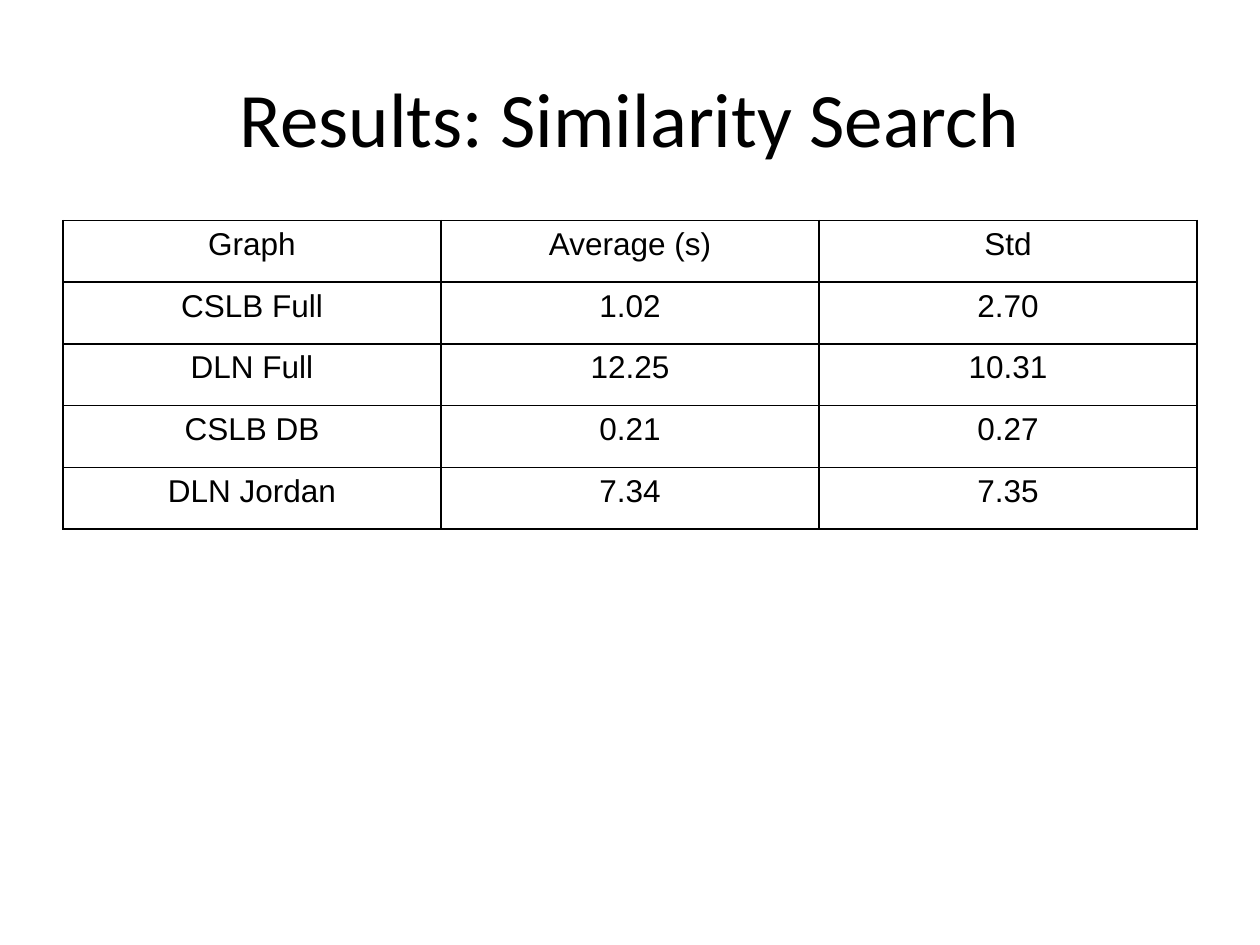
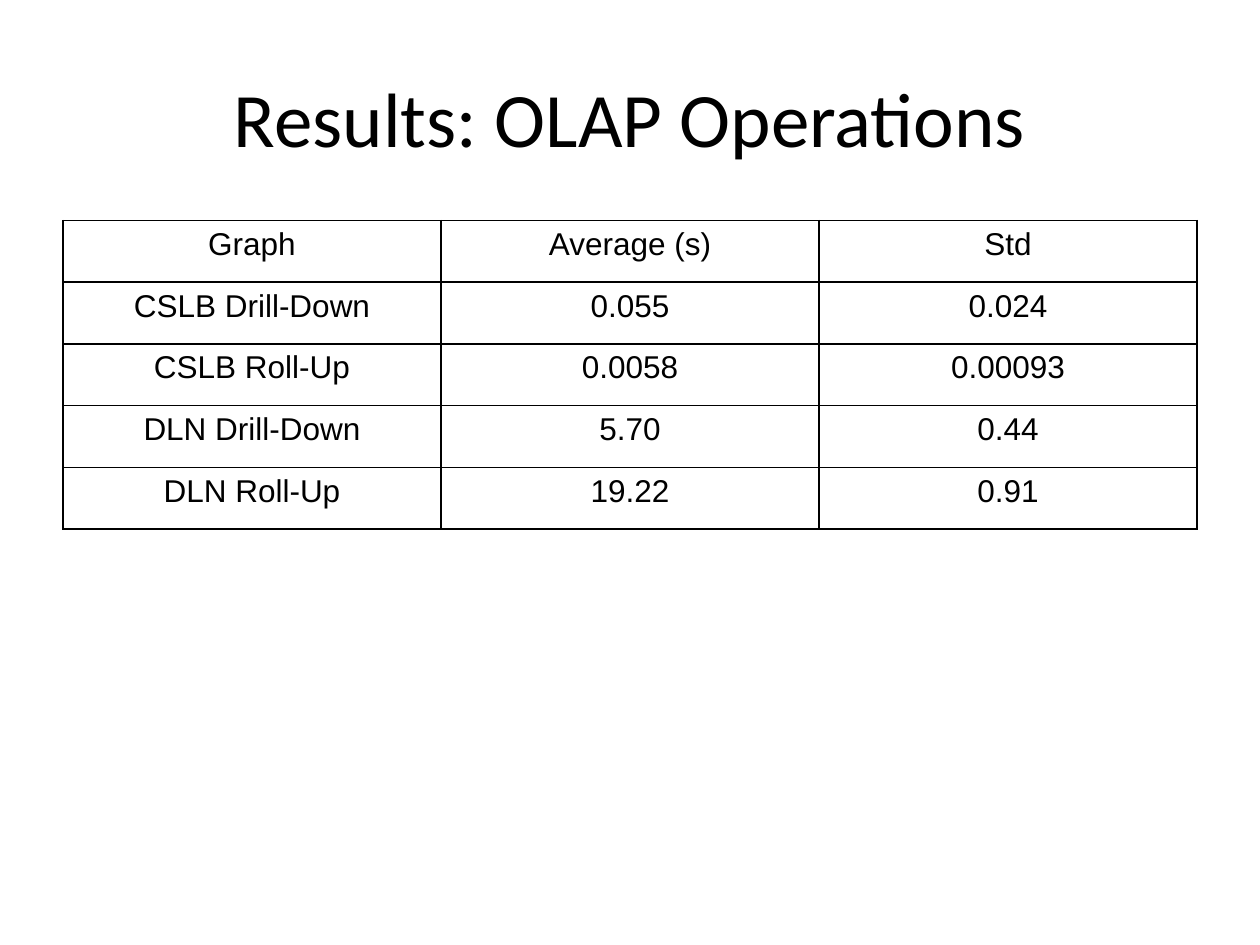
from dataclasses import dataclass

from lxml.etree import SubElement
from pptx import Presentation
from pptx.dml.color import RGBColor as RGB
from pptx.enum.text import MSO_ANCHOR as Anchor, PP_ALIGN as Align
from pptx.oxml.ns import qn
from pptx.slide import Slide
from pptx.table import _Cell as Cell
from pptx.text.text import TextFrame
from pptx.util import Pt

EMU_PER_PX = 9144


@dataclass(frozen=True)
class Theme:
    ink: str = "000000"
    paper: str = "FFFFFF"
    title_font: str = "Calibri"
    title_size: int = 44
    table_font: str = "Arial"
    table_size: int = 18
    rule_width: int = 1


@dataclass(frozen=True)
class Box:
    left: int
    top: int
    width: int
    height: int

    def emu(self) -> tuple[int, int, int, int]:
        return px(self.left), px(self.top), px(self.width), px(self.height)


@dataclass(frozen=True)
class ResultSlide:
    title: str
    rows: tuple[tuple[str, str, str], ...]


THEME = Theme()
TITLE_BOX = Box(50, 30, 900, 125)
TABLE_BOX = Box(50, 175, 900, 245)
HEADER = ("Graph", "Average (s)", "Std")
RESULTS = (
    ResultSlide("Results: Similarity Search", (
        ("CSLB Full", "1.02", "2.70"),
        ("DLN Full", "12.25", "10.31"),
        ("CSLB DB", "0.21", "0.27"),
        ("DLN Jordan", "7.34", "7.35"),
    )),
    ResultSlide("Results: OLAP Operations", (
        ("CSLB Drill-Down", "0.055", "0.024"),
        ("CSLB Roll-Up", "0.0058", "0.00093"),
        ("DLN Drill-Down", "5.70", "0.44"),
        ("DLN Roll-Up", "19.22", "0.91"),
    )),
)


def px(n: int) -> int:
    return n * EMU_PER_PX


def write(tf: TextFrame, text: str, *, font: str, size: int,
          color: str = THEME.ink, align: Align = Align.CENTER) -> None:
    p = tf.paragraphs[0]
    p.alignment = align
    r = p.add_run()
    r.text = text
    r.font.name = font
    r.font.size = Pt(size)
    r.font.color.rgb = RGB.from_string(color)


def add_title(s: Slide, text: str) -> None:
    tf = s.shapes.add_textbox(*TITLE_BOX.emu()).text_frame
    tf.word_wrap = True
    tf.vertical_anchor = Anchor.MIDDLE
    write(tf, text, font=THEME.title_font, size=THEME.title_size)


def style_cell(cell: Cell) -> None:
    tc_pr = cell._tc.get_or_add_tcPr()
    for side in ("a:lnL", "a:lnR", "a:lnT", "a:lnB"):
        ln = SubElement(tc_pr, qn(side), w=str(Pt(THEME.rule_width)))
        fill = SubElement(ln, qn("a:solidFill"))
        SubElement(fill, qn("a:srgbClr"), val=THEME.ink)
    cell.fill.background()


def add_results_table(s: Slide, rows: tuple[tuple[str, str, str], ...]) -> None:
    grid = (HEADER, *rows)
    table = s.shapes.add_table(len(grid), len(HEADER), *TABLE_BOX.emu()).table
    table.first_row = False
    table.horz_banding = False
    for col in table.columns:
        col.width = px(TABLE_BOX.width // len(HEADER))
    for row, values in zip(table.rows, grid):
        row.height = px(TABLE_BOX.height // len(grid))
        for cell, value in zip(row.cells, values):
            style_cell(cell)
            write(cell.text_frame, value,
                  font=THEME.table_font, size=THEME.table_size)


def main() -> None:
    prs = Presentation()
    prs.slide_width, prs.slide_height = px(1000), px(750)
    for result in RESULTS:
        s = prs.slides.add_slide(prs.slide_layouts[6])
        s.background.fill.solid()
        s.background.fill.fore_color.rgb = RGB.from_string(THEME.paper)
        add_title(s, result.title)
        add_results_table(s, result.rows)
    prs.save("out.pptx")


if __name__ == "__main__":
    main()
